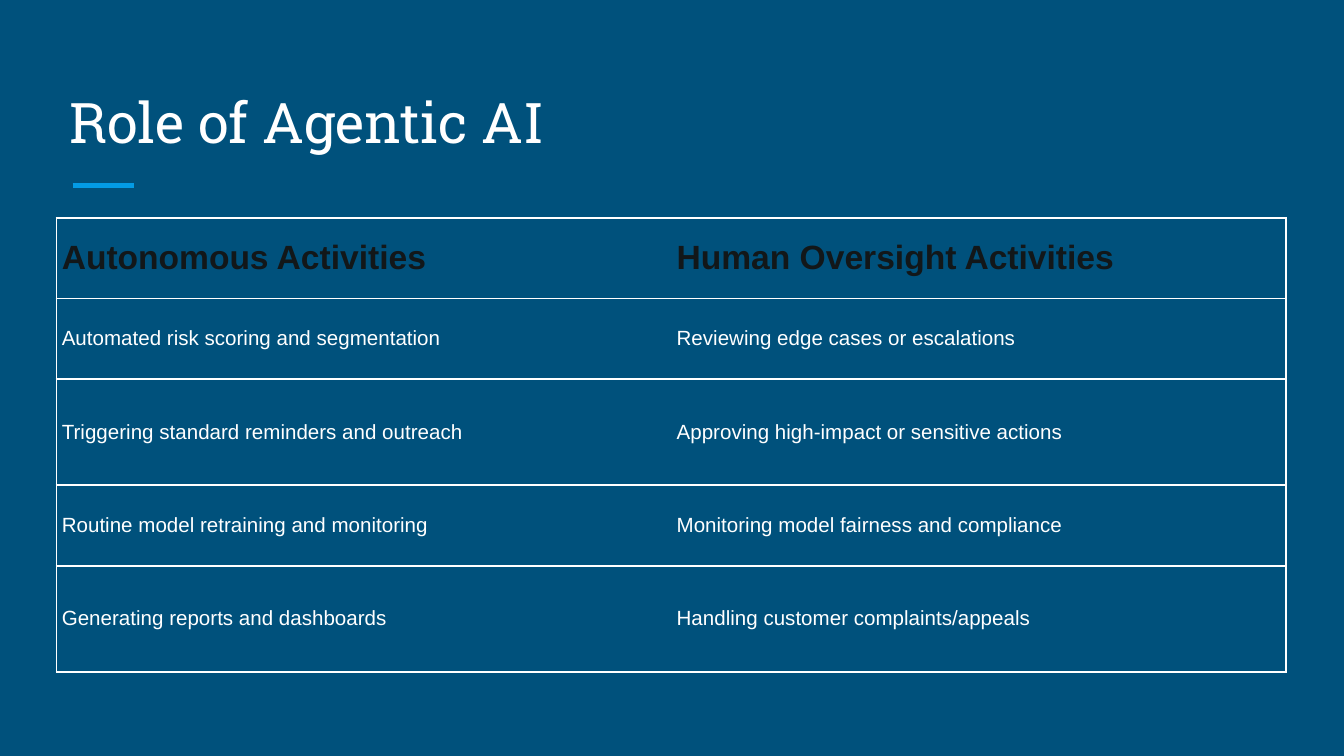
from pptx import Presentation
from pptx.dml.color import RGBColor
from pptx.enum.text import MSO_ANCHOR
from pptx.oxml import parse_xml
from pptx.oxml.ns import nsdecls
from pptx.util import Inches, Pt

NAVY, WHITE, BLUE, INK = "00517C", "FFFFFF", "039BE5", "121719"


def rgb(value):
    return RGBColor.from_string(value)


def format_run(r, font, size, color, bold=False):
    r.font.name = font
    r.font.size = Pt(size)
    r.font.bold = bold
    r.font.color.rgb = rgb(color)


# 16:9 slide
prs = Presentation()
prs.slide_width = Inches(10)
prs.slide_height = Inches(10) * 9 // 16
s = prs.slides.add_slide(prs.slide_layouts[6])
s.background.fill.solid()
s.background.fill.fore_color.rgb = rgb(NAVY)

# Accent line under the title
line = s.shapes.add_connector(1, Inches(0.54), Inches(1.38), Inches(1), Inches(1.38))
line.line.color.rgb = rgb(BLUE)
line.line.width = Pt(3)
line._element.spPr.append(parse_xml(f"<a:effectLst {nsdecls('a')}/>"))

# Title
title = s.shapes.add_textbox(Inches(0.42), Inches(0.5), Inches(9.15), Inches(0.75))
tf = title.text_frame
tf.word_wrap = True
tf.vertical_anchor = MSO_ANCHOR.BOTTOM
tf.margin_left = tf.margin_right = tf.margin_top = tf.margin_bottom = Inches(0.1)
tf.text = "Role of Agentic AI"
format_run(tf.paragraphs[0].runs[0], "Roboto Slab", 30, WHITE)

# Table of activities
rows = [
    ("Autonomous Activities", "Human Oversight Activities"),
    ("Automated risk scoring and segmentation", "Reviewing edge cases or escalations"),
    ("Triggering standard reminders and outreach", "Approving high-impact or sensitive actions"),
    ("Routine model retraining and monitoring", "Monitoring model fairness and compliance"),
    ("Generating reports and dashboards", "Handling customer complaints/appeals"),
]
row_heights = [0.6, 0.6, 0.79, 0.6, 0.79]
frame = s.shapes.add_table(len(rows), 2, Inches(0.42), Inches(1.62),
                           Inches(9.15), Inches(sum(row_heights)))
table = frame.table
table.horz_banding = False
for row, height in zip(table.rows, row_heights):
    row.height = Inches(height)

for i, texts in enumerate(rows):
    for j, text in enumerate(texts):
        cell = table.cell(i, j)
        cell.text = text
        cell.vertical_anchor = MSO_ANCHOR.MIDDLE
        cell.margin_left = cell.margin_right = Inches(0.04)
        cell.margin_top = cell.margin_bottom = Inches(0.03)
        cell.fill.solid()
        cell.fill.fore_color.rgb = rgb(NAVY)
        r = cell.text_frame.paragraphs[0].runs[0]
        if i == 0:
            format_run(r, "Arial", 18, INK, bold=True)
        else:
            format_run(r, "Arial", 11, WHITE)

        # Borders on every side but the one between the columns
        inner = "R" if j == 0 else "L"
        tcPr = cell._tc.get_or_add_tcPr()
        for n, side in enumerate("LRTB"):
            paint = ("<a:noFill/>" if side == inner else
                     f'<a:solidFill><a:srgbClr val="{WHITE}"/></a:solidFill>')
            tcPr.insert(n, parse_xml(
                f'<a:ln{side} {nsdecls("a")} w="{Pt(1)}">{paint}</a:ln{side}>'))

prs.save("out.pptx")
